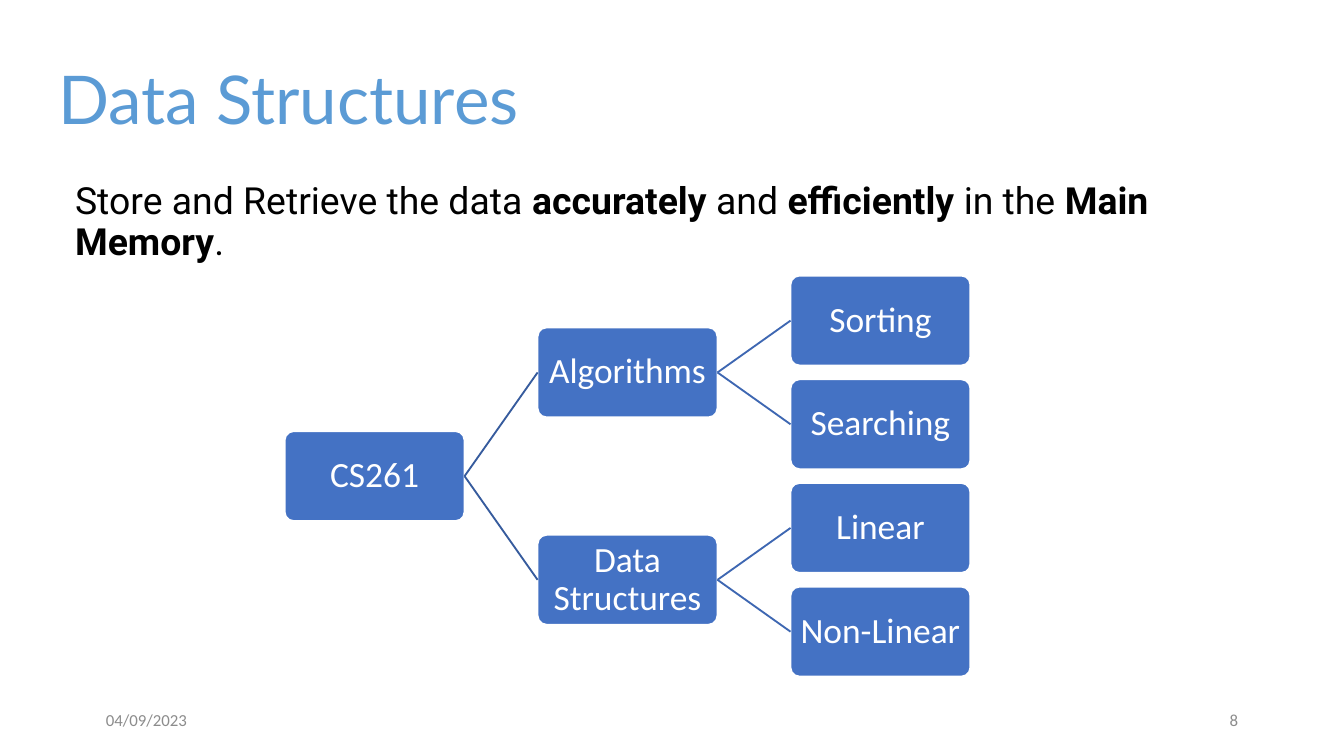
"""Build the Data Structures slide with its topic tree."""
from lxml.etree import SubElement
from pptx import Presentation
from pptx.dml.color import RGBColor
from pptx.enum.shapes import MSO_CONNECTOR as CONN, MSO_SHAPE as SHAPE
from pptx.enum.text import MSO_ANCHOR as ANCHOR, PP_ALIGN as ALIGN
from pptx.oxml.ns import qn
from pptx.util import Cm, Pt

TITLE = "Data Structures"
BODY = [
    ("Store and Retrieve the data ", False), ("accurately", True),
    (" and ", False), ("efficiently", True), (" in the ", False),
    ("Main Memory", True), (".", False),
]
TREE = ("CS261", [
    ("Algorithms", [("Sorting", []), ("Searching", [])]),
    ("Data Structures", [("Linear", []), ("Non-Linear", [])]),
])
FOOTERS = [("04/09/2023", 1.75, ALIGN.LEFT), ("8", 17.93, ALIGN.RIGHT)]

TREE_LEFT, TREE_TOP = 5.38, 5.21
BOX_W, BOX_H = 3.4, 1.7
COL_STEP, ROW_STEP = 4.78, 1.96
BOX_FILL, WHITE = "4472C4", "FFFFFF"
LINE_COLORS = ["365B9D", "3E67B2"]
RIGHT_SITE, LEFT_SITE = 3, 1


def rgb(color):
    """Turn a hex string into a colour."""
    return RGBColor.from_string(color)


def write(sp, text, *, size, font, color, align=ALIGN.LEFT, anchor=ANCHOR.MIDDLE,
          inset=(0.25, 0.25), spacing=0.9):
    """Write a string or (text, bold) runs into a shape."""
    tf = sp.text_frame
    tf.word_wrap = True
    tf.vertical_anchor = anchor
    tf.margin_left = tf.margin_right = Cm(inset[0])
    tf.margin_top = tf.margin_bottom = Cm(inset[1])
    p = tf.paragraphs[0]
    p.alignment, p.line_spacing = align, spacing
    for part, bold in [(text, False)] if isinstance(text, str) else text:
        r = p.add_run()
        r.text = part
        r.font.name, r.font.size, r.font.bold = font, Pt(size), bold
        r.font.color.rgb = rgb(color)


def add_text(s, box, text, **fmt):
    """Add a text box at (left, top, width, height) in centimetres."""
    write(s.shapes.add_textbox(*map(Cm, box)), text, **fmt)


def add_box(s, name, col, row):
    """Add one rounded tree box at a grid position."""
    sp = s.shapes.add_shape(
        SHAPE.ROUNDED_RECTANGLE, Cm(TREE_LEFT + col * COL_STEP),
        Cm(TREE_TOP + row * ROW_STEP), Cm(BOX_W), Cm(BOX_H))
    sp.adjustments[0] = 0.1
    sp.shadow.inherit = False
    sp.fill.solid()
    sp.fill.fore_color.rgb = rgb(BOX_FILL)
    sp.line.color.rgb = rgb(WHITE)
    sp.line.width = Pt(1)
    write(sp, name, size=19, font="Calibri", color=WHITE, align=ALIGN.CENTER,
          inset=(0.03, 0.03))
    return sp


def add_branch(s, parent, child, color):
    """Join two tree boxes with a straight line."""
    c = s.shapes.add_connector(CONN.STRAIGHT, 0, 0, 0, 0)
    c.begin_connect(parent, RIGHT_SITE)
    c.end_connect(child, LEFT_SITE)
    c.line.color.rgb = rgb(color)
    c.line.width = Pt(1)
    SubElement(c._element.spPr, qn("a:effectLst"))


def add_tree(s, node, col, rows):
    """Draw a node centred on its children; return its box and row."""
    name, children = node
    kids = [add_tree(s, child, col + 1, rows) for child in children]
    row = (kids[0][1] + kids[-1][1]) / 2 if kids else next(rows)
    sp = add_box(s, name, col, row)
    for kid, _ in kids:
        add_branch(s, sp, kid, LINE_COLORS[col])
    return sp, row


def main():
    """Assemble and save the slide."""
    prs = Presentation()
    prs.slide_width, prs.slide_height = Cm(25.4), Cm(14.29)
    s = prs.slides.add_slide(prs.slide_layouts[6])
    add_text(s, (0.86, 1.04, 23.67, 1.8), TITLE, size=36, font="Lato", color="5B9BD5")
    add_text(s, (0.86, 3.2, 23.24, 1.14), BODY, size=20, font="Roboto",
             color="000000", anchor=ANCHOR.TOP, inset=(0.56, 0.25))
    add_tree(s, TREE, 0, iter(range(4)))
    for text, left, align in FOOTERS:
        add_text(s, (left, 13.23, 5.72, 0.76), text, size=9, font="Calibri",
                 color="8C8C8C", align=align, inset=(0.25, 0.13), spacing=1.0)
    prs.save("out.pptx")


if __name__ == "__main__":
    main()
